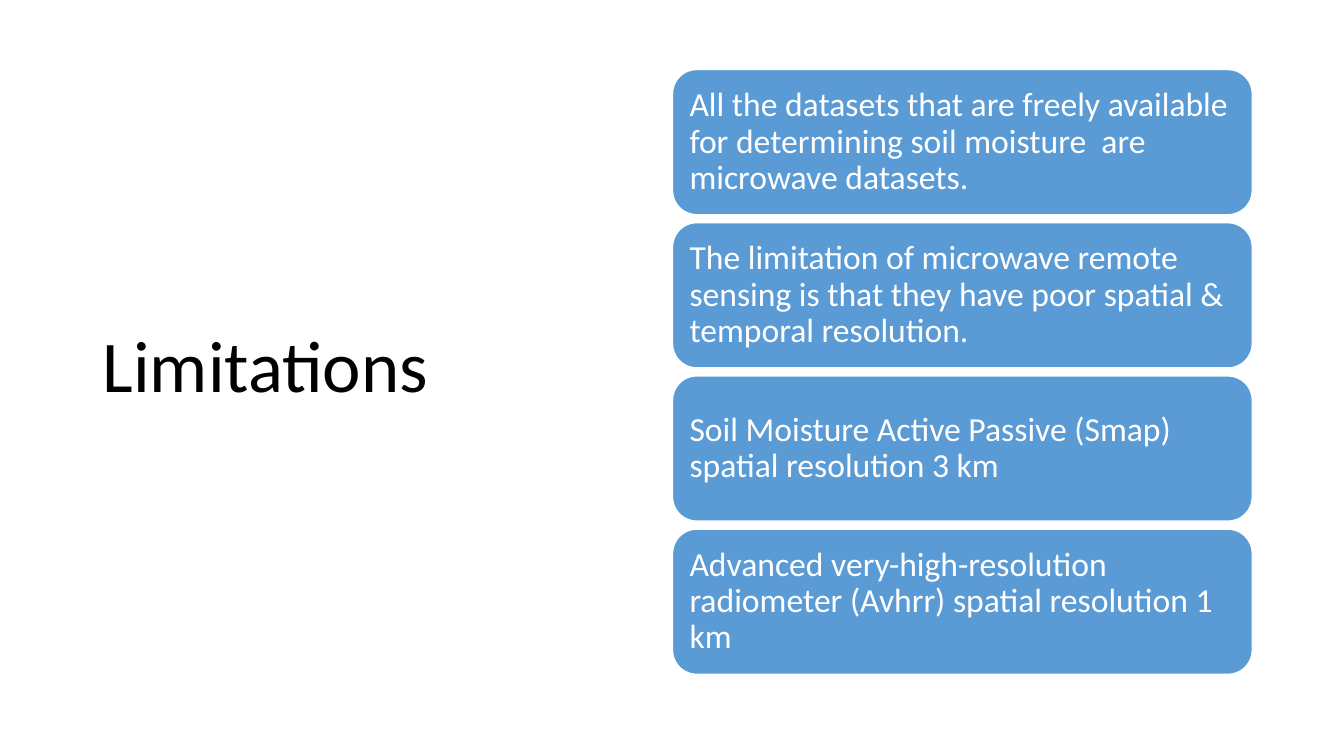
import pptx
import pptx.dml.color
import pptx.enum.shapes
import pptx.enum.text
import pptx.util
from pptx.util import Inches

COLORS = {"card": "5B9BD5", "edge": "FFFFFF", "card_text": "FFFFFF", "title": "000000"}


def color(name):
    return pptx.dml.color.RGBColor.from_string(COLORS[name])


def write_text(frame, text, inset, font_format):
    frame_format = {
        "word_wrap": True,
        "vertical_anchor": pptx.enum.text.MSO_ANCHOR.MIDDLE,
        "margin_left": Inches(inset),
        "margin_right": Inches(inset),
    }
    for attribute, value in frame_format.items():
        setattr(frame, attribute, value)
    paragraph = frame.paragraphs[0]
    paragraph.text = text
    paragraph.alignment = pptx.enum.text.PP_ALIGN.LEFT
    paragraph.line_spacing = 0.9
    for attribute, value in font_format.items():
        setattr(paragraph.font, attribute, value)


presentation = pptx.Presentation()
presentation.slide_width = Inches(13.33)
presentation.slide_height = Inches(7.5)
slide = presentation.slides.add_slide(presentation.slide_layouts[6])

# Title on the left
title = slide.shapes.add_textbox(Inches(0.92), Inches(0.61), Inches(5.32), Inches(6.09))
write_text(title.text_frame, "Limitations", 0.1,
           {"name": "Calibri", "size": pptx.util.Pt(52)})
title.text_frame.paragraphs[0].font.color.rgb = color("title")

# Stack of limitation cards on the right
limitations = [
    "All the datasets that are freely available for determining soil moisture  are microwave datasets.",
    "The limitation of microwave remote sensing is that they have poor spatial & temporal resolution.",
    "Soil Moisture Active Passive (Smap) spatial resolution 3 km",
    "Advanced very-high-resolution radiometer (Avhrr) spatial resolution 1 km",
]
first_top, card_height, gap = 0.69, 1.44, 0.08

for index, limitation in enumerate(limitations):
    top = first_top + index * (card_height + gap)
    card = slide.shapes.add_shape(
        pptx.enum.shapes.MSO_SHAPE.ROUNDED_RECTANGLE,
        Inches(6.67), Inches(top), Inches(5.75), Inches(card_height))
    card.shadow.inherit = False
    card.fill.solid()
    card.fill.fore_color.rgb = color("card")
    card.line.color.rgb = color("edge")
    card.line.width = pptx.util.Pt(1)
    # The rounded corners add 0.07 inches to the side inset
    write_text(card.text_frame, limitation, 0.1,
               {"name": "Calibri", "size": pptx.util.Pt(24)})
    card.text_frame.paragraphs[0].font.color.rgb = color("card_text")

presentation.save("out.pptx")
